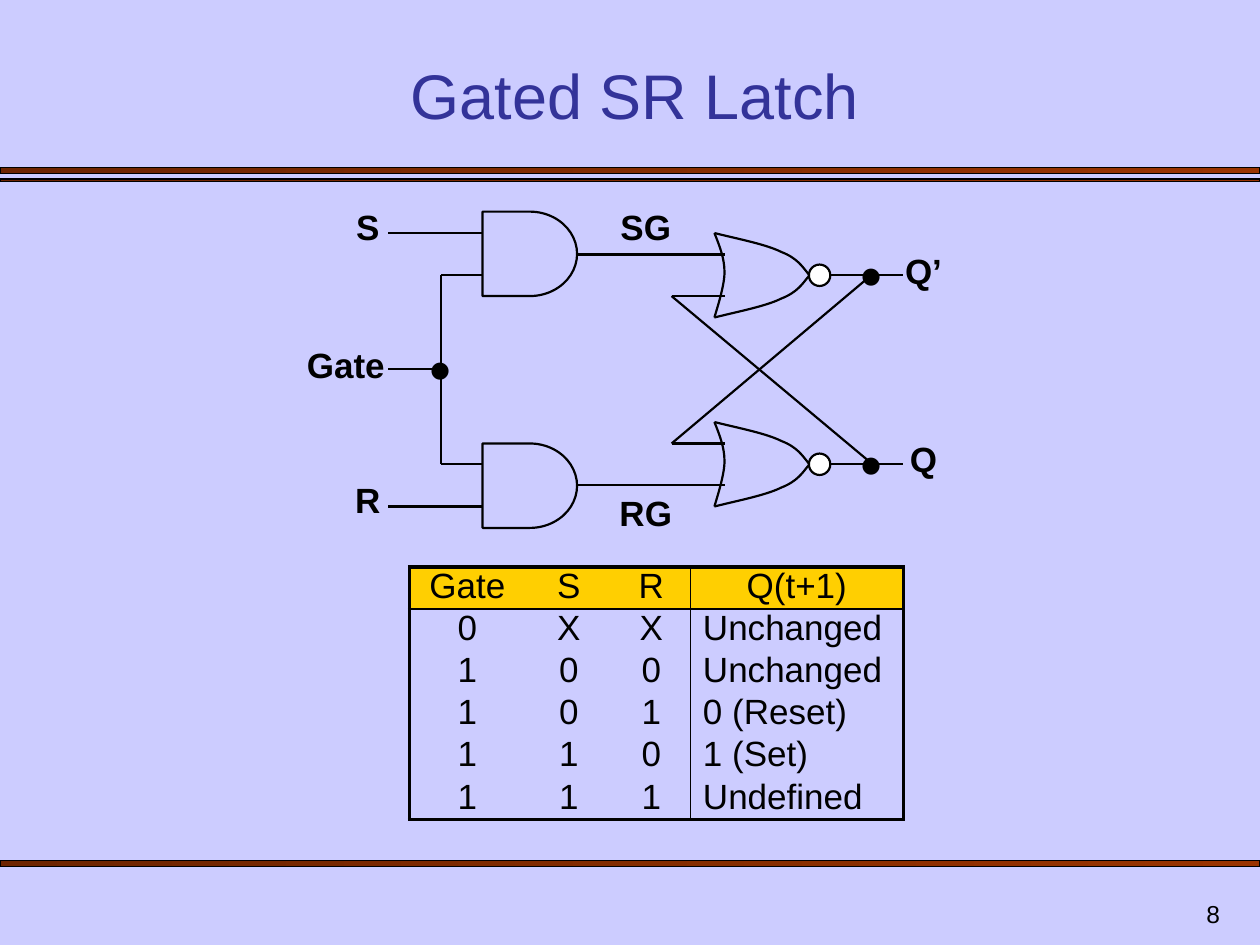
"""Build a slide that explains the gated SR latch with a circuit and a truth table."""
from typing import NamedTuple

from lxml import etree
from pptx import Presentation
from pptx.dml.color import RGBColor
from pptx.enum.shapes import MSO_CONNECTOR, MSO_SHAPE
from pptx.enum.text import MSO_ANCHOR, PP_ALIGN
from pptx.oxml.ns import qn
from pptx.util import Inches, Pt

LEFT, CENTER, RIGHT = PP_ALIGN.LEFT, PP_ALIGN.CENTER, PP_ALIGN.RIGHT
TOP, BOTTOM = MSO_ANCHOR.TOP, MSO_ANCHOR.BOTTOM
STRAIGHT = MSO_CONNECTOR.STRAIGHT
RECTANGLE, OVAL = MSO_SHAPE.RECTANGLE, MSO_SHAPE.OVAL
AND_GATE = MSO_SHAPE.FLOWCHART_DELAY

COLORS = {
    "background": "CCCCFF", "title": "333399", "ink": "000000", "bubble": "FFFFFF",
    "bar_start": "6D2400", "bar_end": "993300", "header": "FFCF01",
}
FONT = "Arial"
WIRE_WIDTH, THICK, THIN = 1.25, 2.25, 1
NO_GRID_STYLE = "{2D5ABB26-0587-4C30-8999-92F81FD0307C}"
GATE_HEIGHT = 0.67
BUBBLE_SIZE = 0.17


class Area(NamedTuple):
    """Left, top, width and height in inches."""
    left: float
    top: float
    width: float
    height: float

    def lengths(self):
        return [Inches(value) for value in self]


class Label(NamedTuple):
    """A text with its place and look."""
    text: str
    area: Area
    size: float = 20
    bold: bool = True


class Wire(NamedTuple):
    """A straight wire between two points in inches."""
    x1: float
    y1: float
    x2: float
    y2: float


BARS = [Area(0, 1.33, 10, 0.05), Area(0, 1.42, 10, 0.02), Area(0, 6.83, 10, 0.05)]
AND_TOPS = [1.68, 3.52]
NOR_TOPS = [1.85, 3.35]
NOR_LEFT = 5.67
NOR_BACK = [(0, 0), (0.04, 0.1), (0.08, 0.2), (0.08, 0.31),
            (0.08, 0.42), (0.02, 0.6), (0, 0.67)]
NOR_UPPER = [(0, 0), (0.2, 0.05), (0.41, 0.09), (0.53, 0.15),
             (0.66, 0.2), (0.7, 0.27), (0.75, 0.33)]
NOR_LOWER = [(x, GATE_HEIGHT - y) for x, y in NOR_UPPER]
WIRES = [
    Wire(6.58, 2.18, 7.17, 2.18), Wire(6.58, 3.68, 7.17, 3.68),
    Wire(5.33, 2.35, 5.75, 2.35), Wire(5.33, 3.52, 5.75, 3.52),
    Wire(4.58, 2.02, 5.75, 2.02), Wire(4.58, 3.85, 5.75, 3.85),
    Wire(5.33, 3.52, 6.92, 2.18), Wire(5.33, 2.35, 6.92, 3.68),
    Wire(3.08, 1.85, 3.83, 1.85), Wire(3.08, 4.02, 3.83, 4.02),
    Wire(3.5, 2.18, 3.83, 2.18), Wire(3.5, 3.68, 3.83, 3.68),
    Wire(3.5, 2.18, 3.5, 3.68), Wire(3.08, 2.93, 3.5, 2.93),
]
JUNCTIONS = [(6.67, 1.82), (6.67, 3.32), (3.25, 2.57)]
LABELS = [
    Label("SG", Area(4.75, 1.58, 0.75, 0.43)), Label("RG", Area(4.75, 3.85, 0.75, 0.43)),
    Label("Q’", Area(7.08, 1.93, 0.5, 0.43)), Label("Q", Area(7.08, 3.42, 0.5, 0.43)),
    Label("S", Area(2.67, 1.58, 0.5, 0.43)), Label("R", Area(2.67, 3.75, 0.5, 0.43)),
    Label("Gate", Area(2.33, 2.68, 0.83, 0.43)),
] + [Label("•", Area(x, y, 0.5, 0.7), 36, False) for x, y in JUNCTIONS]

TABLE_AREA = Area(3.25, 4.5, 3.92, 2)
COLUMN_WIDTHS = [0.92, 0.69, 0.62, 1.69]
TRUTH_ROWS = [
    ("Gate", "S", "R", "Q(t+1)"),
    ("0", "X", "X", "Unchanged"),
    ("1", "0", "0", "Unchanged"),
    ("1", "0", "1", "0 (Reset)"),
    ("1", "1", "0", "1 (Set)"),
    ("1", "1", "1", "Undefined"),
]


def color(name: str) -> RGBColor:
    return RGBColor.from_string(COLORS[name])


def apply(target, formats: dict) -> None:
    for name, value in formats.items():
        setattr(target, name, value)


def write(frame, text: str, size: float, tone="ink", align=CENTER, bold=False) -> None:
    para = frame.paragraphs[0]
    para.alignment = align
    span = para.add_run()
    span.text = text
    apply(span.font, {"name": FONT, "size": Pt(size), "bold": bold})
    span.font.color.rgb = color(tone)


def outline(shape, width: float = WIRE_WIDTH) -> None:
    shape.line.color.rgb = color("ink")
    shape.line.width = Pt(width)
    shape.shadow.inherit = False


def add_bar(page, area: Area) -> None:
    bar = page.shapes.add_shape(RECTANGLE, *area.lengths())
    bar.fill.gradient()
    bar.fill.gradient_angle = 0
    for stop, name in zip(bar.fill.gradient_stops, ("bar_start", "bar_end")):
        stop.color.rgb = color(name)
    outline(bar, 0.75)


def add_wire(page, wire: Wire) -> None:
    line = page.shapes.add_connector(STRAIGHT, *[Inches(value) for value in wire])
    line.line.color.rgb = color("ink")
    line.line.width = Pt(WIRE_WIDTH)
    etree.SubElement(line._element.spPr, qn("a:effectLst"))


def add_curve(page, left: float, top: float, controls: list) -> None:
    """Draw a chain of cubic curves through every third control point."""
    points = [(Inches(left + x), Inches(top + y)) for x, y in controls]
    builder = page.shapes.build_freeform(*points[0])
    builder.add_line_segments(points[1:], close=False)
    curve = builder.convert_to_shape()
    segments = list(curve._element.iter(qn("a:lnTo")))
    outlines = segments[0].getparent()
    for start in range(0, len(segments), 3):
        bezier = etree.SubElement(outlines, qn("a:cubicBezTo"))
        for segment in segments[start:start + 3]:
            bezier.append(segment[0])
            outlines.remove(segment)
    curve.fill.background()
    outline(curve)


def add_nor_gate(page, top: float) -> None:
    middle = top + GATE_HEIGHT / 2
    area = Area(NOR_LEFT + 0.75, middle - BUBBLE_SIZE / 2, BUBBLE_SIZE, BUBBLE_SIZE)
    bubble = page.shapes.add_shape(OVAL, *area.lengths())
    bubble.fill.solid()
    bubble.fill.fore_color.rgb = color("bubble")
    outline(bubble)
    for controls in (NOR_BACK, NOR_UPPER, NOR_LOWER):
        add_curve(page, NOR_LEFT, top, controls)


def add_and_gate(page, top: float) -> None:
    gate = page.shapes.add_shape(AND_GATE, *Area(3.83, top, 0.75, GATE_HEIGHT).lengths())
    gate.fill.background()
    outline(gate)


def add_label(page, label: Label) -> None:
    frame = page.shapes.add_textbox(*label.area.lengths()).text_frame
    apply(frame, {"word_wrap": False, "vertical_anchor": TOP})
    write(frame, label.text, label.size, bold=label.bold)


def add_border(cell, side: str, width: float) -> None:
    """Draw one side of a cell, or clear it when the width is zero."""
    line = etree.SubElement(cell._tc.get_or_add_tcPr(), qn(f"a:ln{side}"), w=str(Pt(width)))
    if width:
        fill = etree.SubElement(line, qn("a:solidFill"))
        etree.SubElement(fill, qn("a:srgbClr"), val=COLORS["ink"])
    else:
        etree.SubElement(line, qn("a:noFill"))


def add_truth_table(page) -> None:
    last_row, last_column = len(TRUTH_ROWS) - 1, len(COLUMN_WIDTHS) - 1
    table = page.shapes.add_table(last_row + 1, last_column + 1, *TABLE_AREA.lengths()).table
    apply(table, {"first_row": False, "horz_banding": False})
    table._tbl.tblPr.find(qn("a:tableStyleId")).text = NO_GRID_STYLE
    for column, width in zip(table.columns, COLUMN_WIDTHS):
        column.width = Inches(width)
    for r, values in enumerate(TRUTH_ROWS):
        for c, text in enumerate(values):
            cell = table.cell(r, c)
            borders = {
                "L": {0: THICK, last_column: THIN}.get(c, 0),
                "R": {last_column - 1: THIN, last_column: THICK}.get(c, 0),
                "T": {0: THICK, 1: THIN}.get(r, 0),
                "B": {0: THIN, last_row: THICK}.get(r, 0),
            }
            for side, width in borders.items():
                add_border(cell, side, width)
            if r == 0:
                cell.fill.solid()
                cell.fill.fore_color.rgb = color("header")
            else:
                cell.fill.background()
            apply(cell, {"margin_top": 0, "margin_bottom": 0, "vertical_anchor": TOP})
            write(cell.text_frame, text, 20, align=LEFT if r and c == last_column else CENTER)


def main() -> None:
    deck = Presentation()
    apply(deck, {"slide_width": Inches(10), "slide_height": Inches(7.5)})
    page = deck.slides.add_slide(deck.slide_layouts[5])
    page.background.fill.solid()
    page.background.fill.fore_color.rgb = color("background")
    for area in BARS:
        add_bar(page, area)

    title = page.shapes.title
    apply(title, dict(zip(Area._fields, Area(0.58, 0.42, 8.92, 0.68).lengths())))
    title.text_frame.vertical_anchor = BOTTOM
    write(title.text_frame, "Gated SR Latch", 36, "title")
    number = page.shapes.add_textbox(*Area(7.7, 7, 2.08, 0.42).lengths()).text_frame
    apply(number, {"word_wrap": True, "vertical_anchor": BOTTOM})
    write(number, "8", 14, align=RIGHT)

    for draw, items in ((add_nor_gate, NOR_TOPS), (add_and_gate, AND_TOPS),
                        (add_wire, WIRES), (add_label, LABELS)):
        for item in items:
            draw(page, item)
    add_truth_table(page)
    deck.save("out.pptx")


if __name__ == "__main__":
    main()
